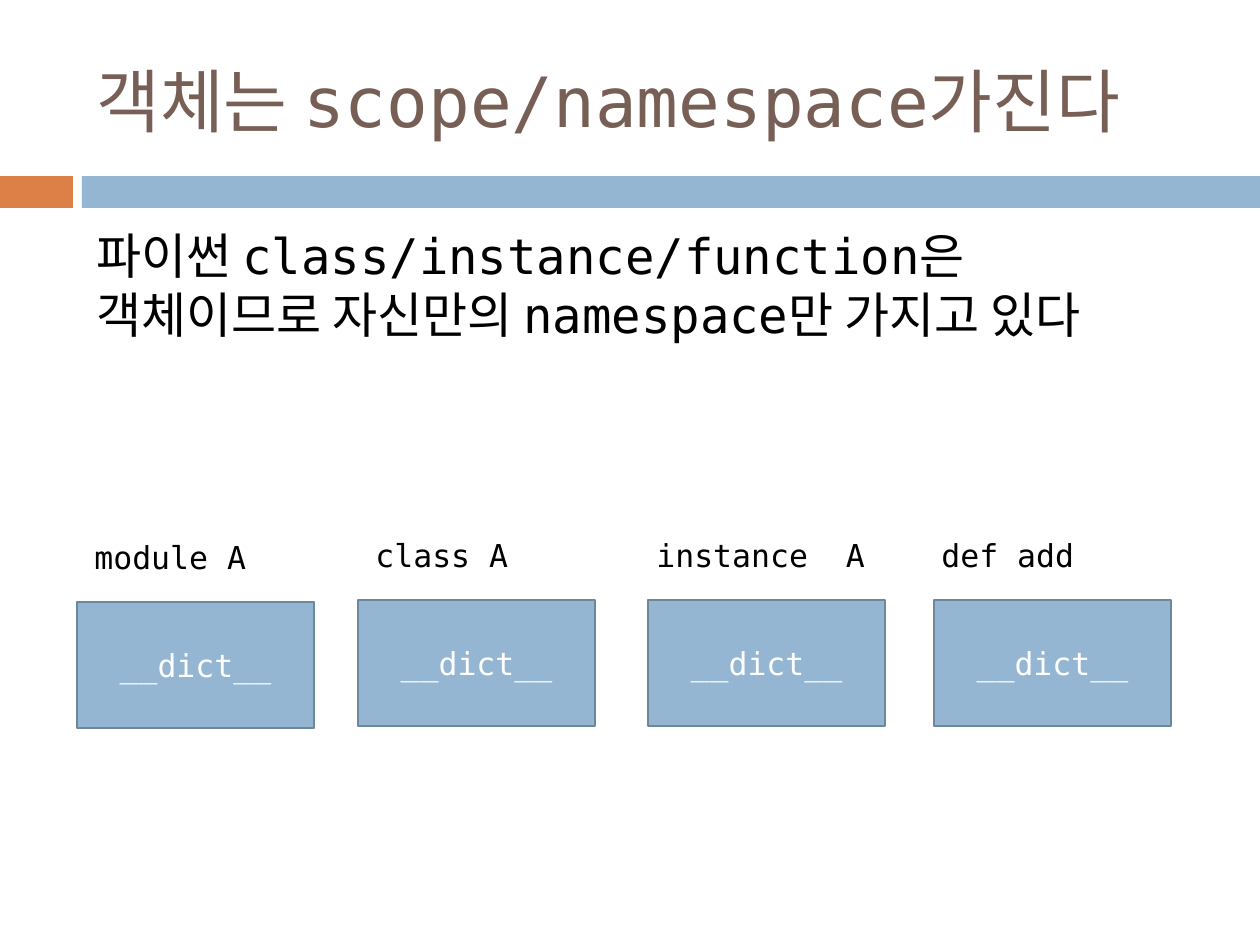
from pptx import Presentation
from pptx.dml.color import RGBColor
from pptx.enum.shapes import MSO_SHAPE
from pptx.enum.text import MSO_ANCHOR, PP_ALIGN
from pptx.util import Emu, Pt

RECT = MSO_SHAPE.RECTANGLE
TOP, MIDDLE = MSO_ANCHOR.TOP, MSO_ANCHOR.MIDDLE
LEFT, CENTER = PP_ALIGN.LEFT, PP_ALIGN.CENTER

ORANGE = RGBColor(0xDD, 0x80, 0x47)
BLUE = RGBColor(0x94, 0xB6, 0xD2)
BORDER = RGBColor(0x6D, 0x87, 0x9B)
BROWN = RGBColor(0x77, 0x5F, 0x55)
BLACK = RGBColor(0, 0, 0)
WHITE = RGBColor(0xFF, 0xFF, 0xFF)
FONT = "DejaVu Sans Mono"

PX_PER_INCH = 126


def px(*lengths):
    return [Emu(round(n * 914400 / PX_PER_INCH)) for n in lengths]


def write(shape, text, size, color, align=LEFT, anchor=TOP):
    frame = shape.text_frame
    frame.word_wrap = True
    frame.vertical_anchor = anchor
    paragraph = frame.paragraphs[0]
    paragraph.alignment = align
    run = paragraph.add_run()
    run.text = text
    for name, value in {"name": FONT, "size": Pt(size)}.items():
        setattr(run.font, name, value)
    run.font.color.rgb = color


def add_text(slide, box, text, size, color, anchor=TOP):
    write(slide.shapes.add_textbox(*px(*box)), text, size, color, anchor=anchor)


def add_rect(slide, box, fill, border=None):
    rect = slide.shapes.add_shape(RECT, *px(*box))
    rect.shadow.inherit = False
    rect.fill.solid()
    rect.fill.fore_color.rgb = fill
    if border is None:
        rect.line.fill.background()
    else:
        rect.line.color.rgb = border
        rect.line.width = Pt(1.5)
    return rect


def add_header(slide, left, top, width, height):
    # Two-colour band along the foot of the header, title above it
    band_height, accent_width, gap = 32, 73, 9
    band_top = top + height - band_height
    rest = accent_width + gap
    add_rect(slide, (left, band_top, accent_width, band_height), ORANGE)
    add_rect(slide, (left + rest, band_top, width - rest, band_height), BLUE)
    add_text(slide, (left + 84, top + 32, 1124, 136),
             "객체는 scope/namespace가진다", 39.6, BROWN, MIDDLE)


def add_explanation(slide, *box):
    add_text(slide, box,
             "파이썬 class/instance/function은 객체이므로 자신만의 namespace만 가지고 있다",
             28, BLACK)


def add_namespace(slide, left, top, owner, indent):
    # Owner label above the box that holds its namespace
    add_text(slide, (left + indent, top, 255, 50), owner, 18, BLACK)
    namespace = add_rect(slide, (left, top + 70, 237, 126), BLUE, BORDER)
    write(namespace, "__dict__", 18, WHITE, CENTER, MIDDLE)


def main():
    deck = Presentation()
    deck.slide_width, deck.slide_height = px(1260, 945)
    slide = deck.slides.add_slide(deck.slide_layouts[6])

    add_header(slide, 0, 0, 1260, 208)
    add_explanation(slide, 84, 219, 1101, 190)
    for left, top, owner, indent in (
        (77, 532, "module A", 5),
        (358, 530, "class A", 5),
        (648, 530, "instance  A", -4),
        (934, 530, "def add", -5),
    ):
        add_namespace(slide, left, top, owner, indent)

    deck.save("out.pptx")


if __name__ == "__main__":
    main()
